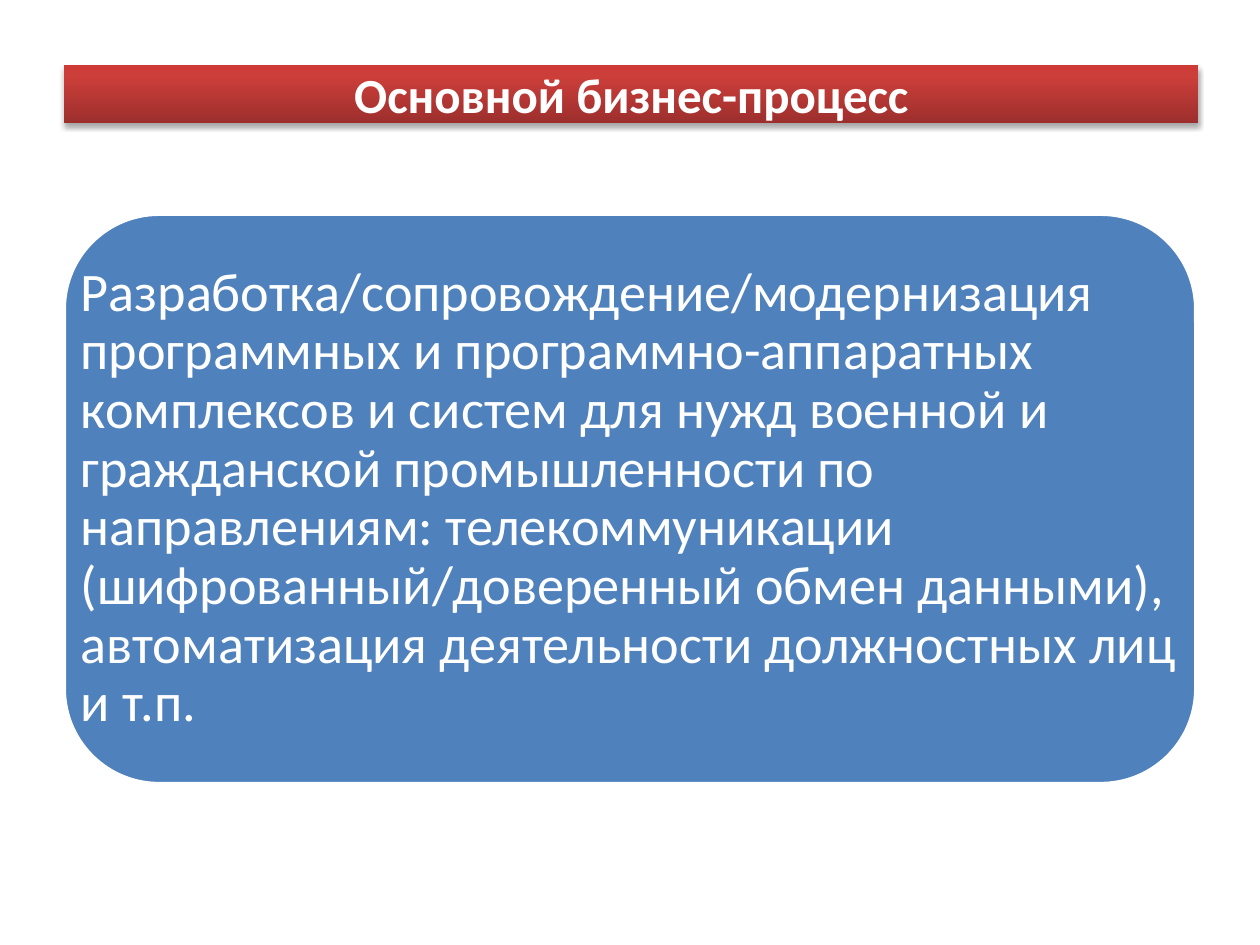
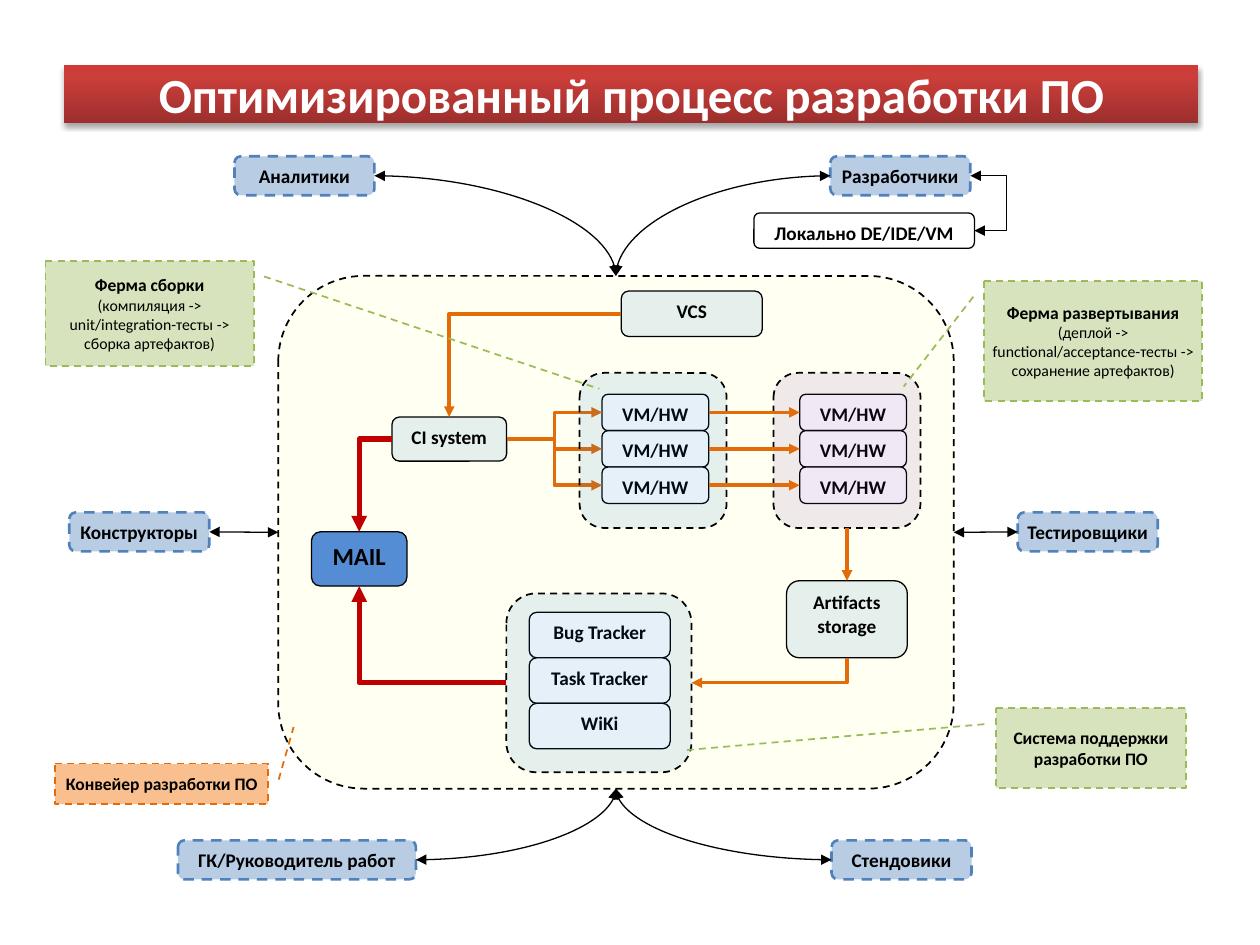
from lxml import etree
from pptx import Presentation
from pptx.dml.color import RGBColor
from pptx.enum import dml, shapes, text
from pptx.oxml import parse_xml
from pptx.oxml.ns import nsdecls, qn
from pptx.util import Pt

FONT = "Calibri"
WHITE = RGBColor(0xFF, 0xFF, 0xFF)
BLACK = RGBColor(0, 0, 0)
BLUE = RGBColor(0x4F, 0x81, 0xBD)
MAIL_BLUE = RGBColor(0x54, 0x8D, 0xD4)
TINT_BLUE = RGBColor(0x00, 0x70, 0xC0)
TINT_PURPLE = RGBColor(0x70, 0x30, 0xA0)
TINT_YELLOW = RGBColor(0xFF, 0xFF, 0x00)
ACTOR_BLUE = RGBColor(0xB8, 0xCC, 0xE4)
NOTE_GREEN = RGBColor(0xD6, 0xE3, 0xBC)
NOTE_EDGE = RGBColor(0x9B, 0xBB, 0x59)
PEACH = RGBColor(0xFA, 0xBF, 0x8F)
ORANGE = RGBColor(0xE3, 0x6C, 0x0A)
RED = RGBColor(0xC0, 0x00, 0x00)
BAND_STOPS = ((0, RGBColor(0x9C, 0x2F, 0x2D)), (80, RGBColor(0xCB, 0x3E, 0x3A)),
              (100, RGBColor(0xCE, 0x3B, 0x37)))

PAGE = (0, 0, 720, 540)
TITLE_BOX = (36.7, 37.4, 648, 33.1)
MISSION_BOX = (36.7, 122.4, 646.6, 325.4)
PIPELINE_BOX = (159, 157.7, 386, 293)

TOP, LEFT, BOTTOM, RIGHT = range(4)
SHAPE = shapes.MSO_SHAPE
LINE = shapes.MSO_CONNECTOR
ALIGN = text.PP_ALIGN
ANCHOR = text.MSO_ANCHOR


def write(sp, lines, size=11, bold=True, color=BLACK, align=ALIGN.CENTER,
          anchor=ANCHOR.TOP, inset=None, spacing=None, small=9):
    tf = sp.text_frame
    tf.word_wrap = True
    tf.auto_size = text.MSO_AUTO_SIZE.NONE
    tf.vertical_anchor = anchor
    left, top = (7.2, 3.6) if inset is None else (inset, inset)
    tf.margin_left = tf.margin_right = Pt(left)
    tf.margin_top = tf.margin_bottom = Pt(top)
    for i, line in enumerate(lines.split("\n")):
        p = tf.paragraphs[0] if i == 0 else tf.add_paragraph()
        p.alignment = align
        if spacing:
            p.line_spacing = spacing
        r = p.add_run()
        r.text = line
        r.font.name = FONT
        r.font.size = Pt(size if i == 0 else small)
        r.font.bold = bold and i == 0
        r.font.color.rgb = color


def place(area, x, y, w, h):
    return [Pt(round(v, 2)) for v in (area[0] + x, area[1] + y, w, h)]


def box(s, area, at, fill, edge=BLACK, width=0.75, dash=False, alpha=None,
        kind=SHAPE.ROUNDED_RECTANGLE, lines=None, **fmt):
    sp = s.shapes.add_shape(kind, *place(area, *at))
    sp.shadow.inherit = False
    sp.fill.solid()
    sp.fill.fore_color.rgb = fill
    if alpha:
        clr = sp._element.spPr.find(qn("a:solidFill"))[0]
        etree.SubElement(clr, qn("a:alpha")).set("val", str(alpha * 1000))
    sp.line.color.rgb = edge
    sp.line.width = Pt(width)
    if dash:
        sp.line.dash_style = dml.MSO_LINE.DASH
    if lines:
        write(sp, lines, **fmt)
    return sp


def link(s, start, start_side, end, end_side, color=BLACK, width=0.75,
         kind=LINE.STRAIGHT, preset=None, bend_x=None, head=False, tail=True):
    cn = s.shapes.add_connector(kind, 0, 0, 0, 0)
    cn.begin_connect(start, start_side)
    cn.end_connect(end, end_side)
    cn.line.color.rgb = color
    cn.line.width = Pt(width)
    ln = cn.line._get_or_add_ln()
    for tag, used in (("a:headEnd", head), ("a:tailEnd", tail)):
        if used:
            etree.SubElement(ln, qn(tag)).set("type", "triangle")
    sp_pr = cn._element.spPr
    geom = sp_pr.find(qn("a:prstGeom"))
    if preset:
        geom.set("prst", preset)
    if bend_x:
        adj = (Pt(bend_x) - cn.begin_x) / (cn.end_x - cn.begin_x)
        gd = etree.SubElement(geom.find(qn("a:avLst")), qn("a:gd"))
        gd.set("name", "adj1")
        gd.set("fmla", f"val {round(adj * 100000)}")
    etree.SubElement(sp_pr, qn("a:effectLst"))
    return cn


def corner(s, *ends, **fmt):
    return link(s, *ends, kind=LINE.ELBOW, preset="bentConnector2", **fmt)


def title_band(s, area, title):
    sp = s.shapes.title
    sp.left, sp.top, sp.width, sp.height = place(area, 0, 0, *area[2:])
    write(sp, title, size=28, color=WHITE, anchor=ANCHOR.MIDDLE)
    stops = "".join(f'<a:gs pos="{pos * 1000}"><a:srgbClr val="{c}"/></a:gs>'
                    for pos, c in BAND_STOPS)
    sp_pr = sp._element.spPr
    sp_pr.append(parse_xml(
        f'<a:gradFill {nsdecls("a")} rotWithShape="1"><a:gsLst>{stops}</a:gsLst>'
        '<a:lin ang="16200000" scaled="0"/></a:gradFill>'))
    sp_pr.append(parse_xml(
        f'<a:effectLst {nsdecls("a")}><a:outerShdw blurRad="{Pt(3.1)}" '
        f'dist="{Pt(1.8)}" dir="5400000" rotWithShape="0"><a:srgbClr val="000000">'
        '<a:alpha val="35000"/></a:srgbClr></a:outerShdw></a:effectLst>'))


def mission(s, area):
    at = (0, 0, *area[2:])
    box(s, area, at, BLUE, edge=WHITE, width=2)
    tb = s.shapes.add_textbox(*place(area, *at))
    write(tb, "Разработка/сопровождение/модернизация программных и программно-аппаратных "
              "комплексов и систем для нужд военной и гражданской промышленности по "
              "направлениям: телекоммуникации (шифрованный/доверенный обмен данными), "
              "автоматизация деятельности должностных лиц и т.п.",
          size=31, bold=False, color=WHITE, align=ALIGN.LEFT,
          anchor=ANCHOR.MIDDLE, inset=9.4, spacing=0.9)


def stack(s, area, at, labels, w, h):
    x, y = at
    return [box(s, area, (x, y + i * h, w, h), WHITE, lines=label)
            for i, label in enumerate(labels)]


def frame(s, area, at, tint, alpha=10):
    return box(s, area, at, tint, width=1, dash=True, alpha=alpha)


def pipeline(s, area):
    conveyor = frame(s, area, (0, 0, *area[2:]), TINT_YELLOW, alpha=5)
    tool = dict(fill=TINT_BLUE, alpha=10)
    flow = dict(color=ORANGE, width=2)
    mail_flow = dict(color=RED, width=3)
    vcs = box(s, area, (196, 8.6, 80.6, 26), lines="VCS", **tool)
    ci = box(s, area, (65, 80.6, 65.5, 25.2), lines="CI system", **tool)
    hosts = ["VM/HW"] * 3

    builders = stack(s, area, (185, 67.6), hosts, 61, 20.8)
    for vm in builders:
        link(s, ci, RIGHT, vm, LEFT, kind=LINE.ELBOW, **flow)
    frame(s, area, (172.2, 55.4, 84, 88.6), TINT_BLUE)
    targets = stack(s, area, (298, 67.6), hosts, 61, 20.8)
    deploy_farm = frame(s, area, (283, 55.4, 84, 88.6), TINT_PURPLE)
    for vm, target in zip(builders, targets):
        link(s, vm, RIGHT, target, LEFT, **flow)

    storage = box(s, area, (290.5, 174.2, 69, 44), lines="Artifacts storage", **tool)
    mail = box(s, area, (19, 146.2, 54.6, 31), MAIL_BLUE, lines="MAIL", size=14)
    stack(s, area, (143.4, 192.2), ["Bug Tracker", "Task Tracker", "WiKi"], 80.6, 26)
    support = frame(s, area, (130.4, 181.4, 105.8, 102.2), TINT_BLUE)

    link(s, deploy_farm, BOTTOM, storage, TOP, **flow)
    corner(s, vcs, LEFT, ci, TOP, **flow)
    corner(s, support, RIGHT, storage, BOTTOM, head=True, tail=False, **flow)
    corner(s, ci, LEFT, mail, TOP, **mail_flow)
    corner(s, support, LEFT, mail, BOTTOM, **mail_flow)
    return conveyor


def actors(s, area, conveyor):
    def actor(label, x, y, w=80):
        return box(s, area, (x, y, w, 22.3), ACTOR_BLUE, edge=BLUE, width=1.5, dash=True,
                   lines=label, anchor=ANCHOR.MIDDLE, inset=2.9)

    top, middle, bottom = 89.3, 292.8, 480.2
    developers = actor("Разработчики", 474.5, top)
    for person, side in ((actor("Конструкторы", 39.6, middle), LEFT),
                         (actor("Тестировщики", 581.6, middle), RIGHT)):
        link(s, person, RIGHT if side == LEFT else LEFT, conveyor, side, head=True)
    for person, person_side, side in (
            (actor("Аналитики", 134, top), RIGHT, TOP),
            (developers, LEFT, TOP),
            (actor("ГК/Руководитель работ", 101.7, bottom, 136), RIGHT, BOTTOM),
            (actor("Стендовики", 475.2, bottom), LEFT, BOTTOM)):
        link(s, person, person_side, conveyor, side, kind=LINE.CURVE,
             preset="curvedConnector2", head=True)
    local = box(s, area, (430.8, 121.7, 126, 20.2), WHITE, lines="Локально DE/IDE/VM")
    link(s, developers, RIGHT, local, RIGHT, kind=LINE.ELBOW,
         bend_x=area[0] + 575.3, head=True)


def callouts(s, area):
    notes = (
        ("Ферма сборки\n(компиляция -> unit/integration-тесты -> сборка артефактов)",
         (26, 149, 119, 60), (0.15, 1.05, 1.22, 2.66), NOTE_GREEN, NOTE_EDGE),
        ("Ферма развертывания\n(деплой -> functional/acceptance-тесты -> "
         "сохранение артефактов)",
         (562.4, 160.7, 124.4, 68.4), (0.13, -0.05, 0.88, -0.37), NOTE_GREEN, NOTE_EDGE),
        ("Система поддержки разработки ПО",
         (569, 404.8, 108.7, 45.4), (0.2, -0.06, 0.53, -1.65), NOTE_GREEN, NOTE_EDGE),
        ("Конвейер разработки ПО",
         (31.5, 436.3, 121.7, 23), (0.4, 1.05, -0.91, 1.12), PEACH, ORANGE))
    for lines, at, pointer, fill, edge in notes:
        sp = box(s, area, at, fill, edge=edge, width=1, dash=True,
                 kind=SHAPE.LINE_CALLOUT_1, lines=lines, size=10,
                 anchor=ANCHOR.MIDDLE, inset=2.9)
        for i, value in enumerate(pointer):
            sp.adjustments[i] = value


def main():
    prs = Presentation()
    prs.slide_width, prs.slide_height = Pt(PAGE[2]), Pt(PAGE[3])
    layout = prs.slide_layouts[5]

    s = prs.slides.add_slide(layout)
    title_band(s, TITLE_BOX, "Основной бизнес-процесс")
    mission(s, MISSION_BOX)

    s = prs.slides.add_slide(layout)
    title_band(s, TITLE_BOX, "Оптимизированный процесс разработки ПО")
    conveyor = pipeline(s, PIPELINE_BOX)
    actors(s, PAGE, conveyor)
    callouts(s, PAGE)

    prs.save("out.pptx")


if __name__ == "__main__":
    main()
